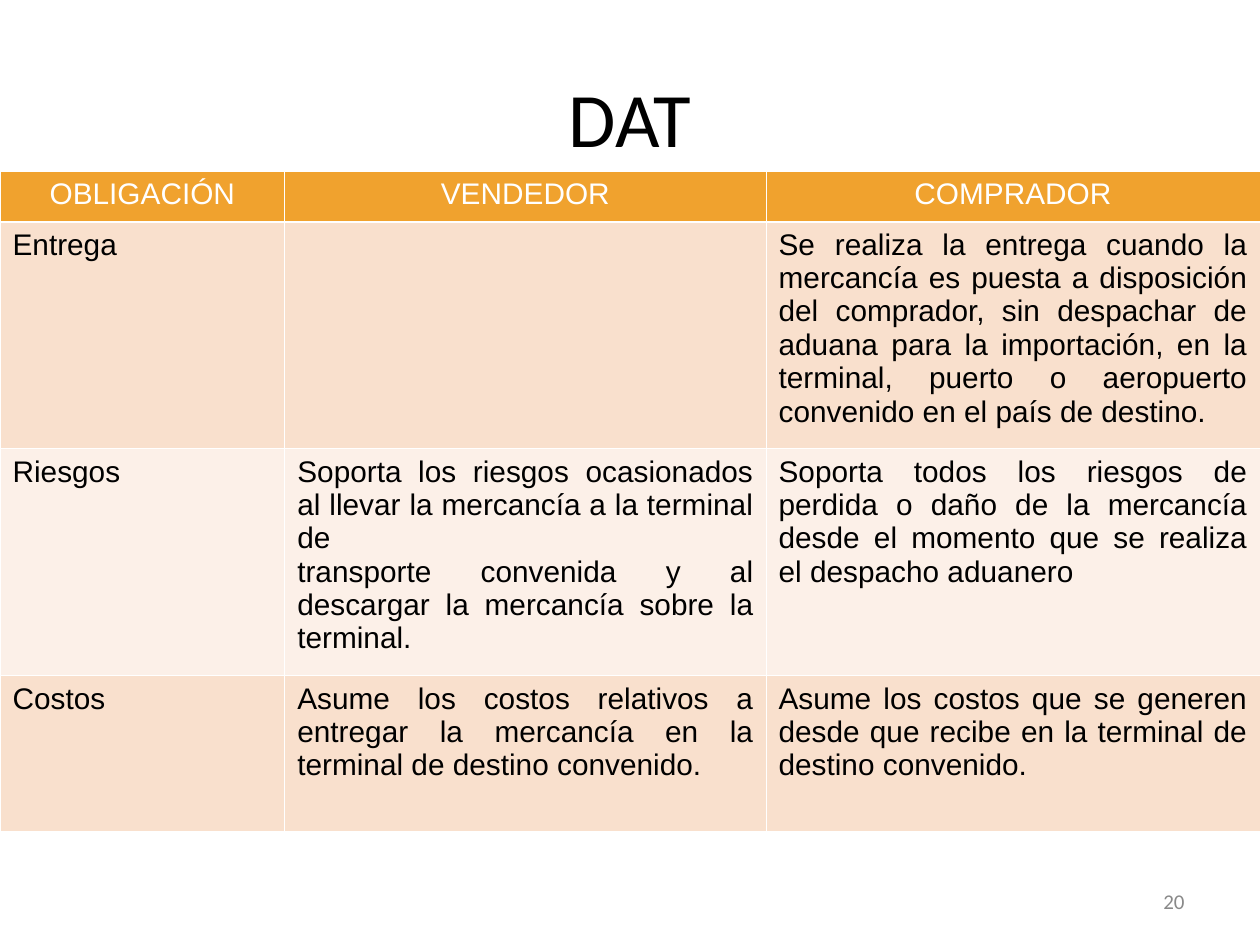
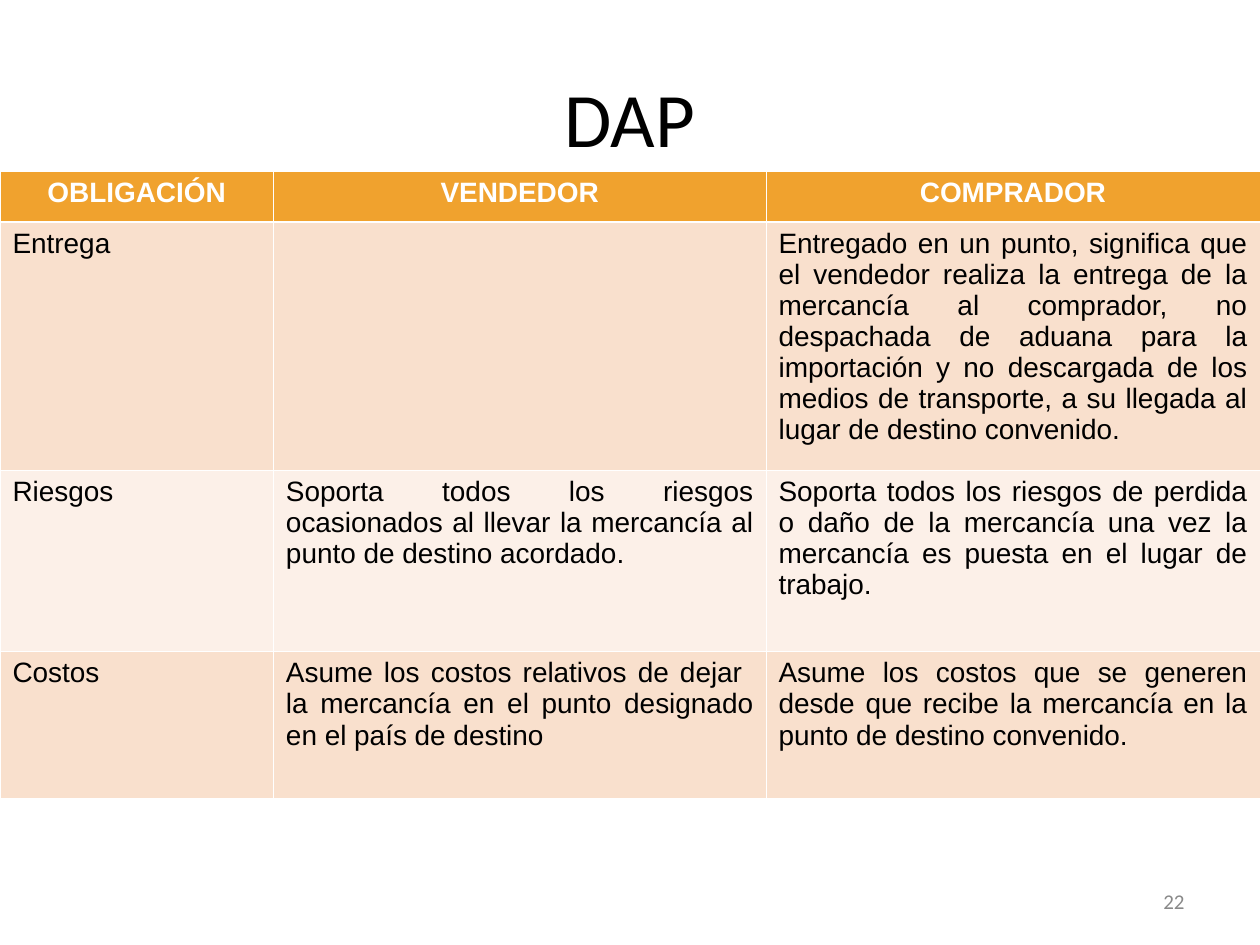
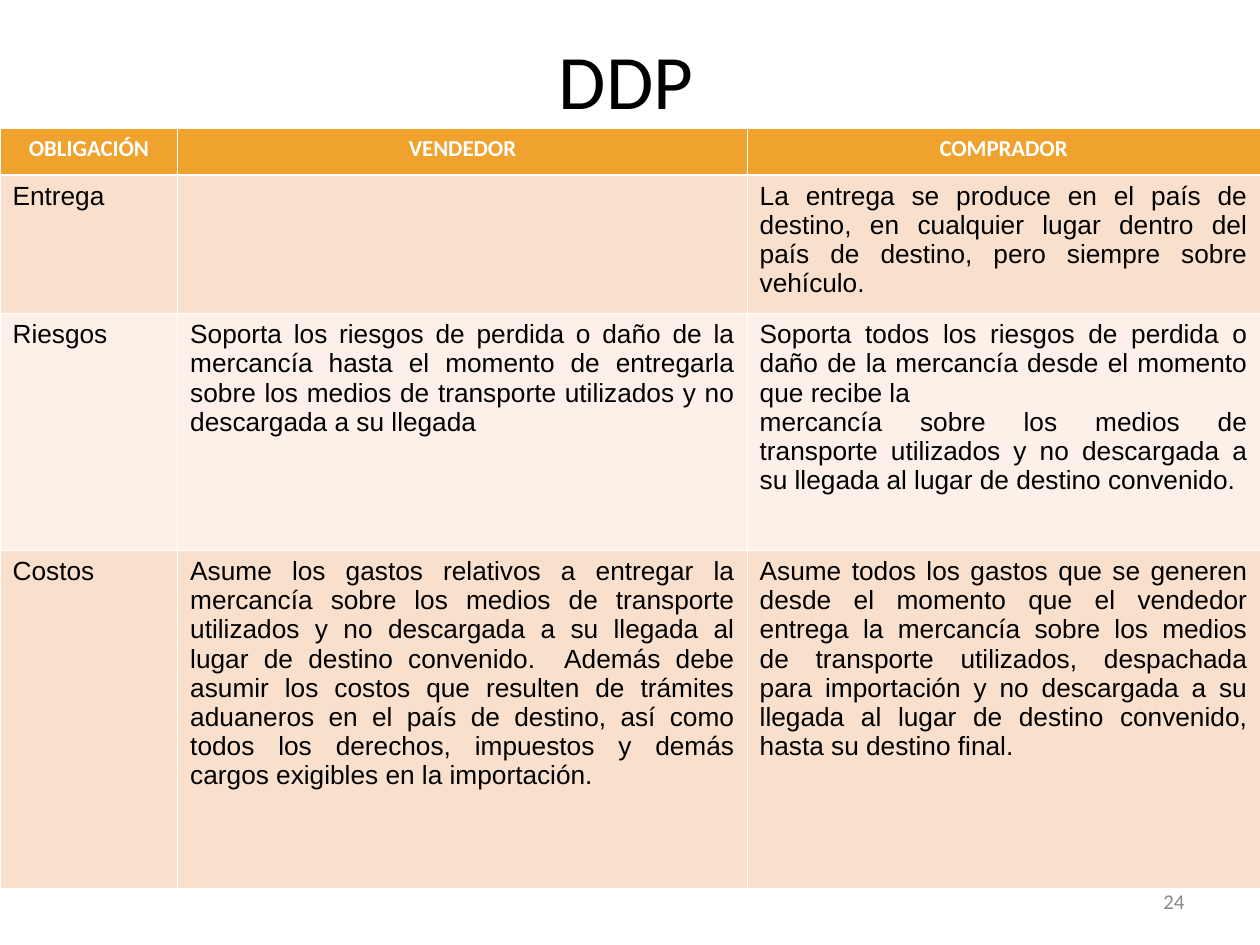
import pptx
import pptx.util
import pptx.dml.color
import pptx.enum.text
import pptx.oxml
import lxml.etree
from pptx.util import Inches

RGBColor = pptx.dml.color.RGBColor
ALIGN = pptx.enum.text.PP_ALIGN
BLACK = RGBColor(0x00, 0x00, 0x00)
WHITE = RGBColor(0xFF, 0xFF, 0xFF)
GRAY = RGBColor(0x89, 0x89, 0x89)
ORANGE = RGBColor(0xF0, 0xA2, 0x2E)
PEACH = RGBColor(0xF9, 0xE0, 0xCD)
CREAM = RGBColor(0xFC, 0xF0, 0xE8)
ROW_FILLS = [ORANGE, PEACH, CREAM, PEACH]
HEADERS = ["OBLIGACIÓN", "VENDEDOR", "COMPRADOR"]
THIN, THICK = 0.45, 1.47

TERMS = [
    {
        "title": "DAT", "title_at": (0.5, 0.3), "number": "20", "top": 1.36,
        "columns": [2.26, 3.82, 3.92], "rows": [0.4, 1.8, 1.8, 1.24],
        "header_font": ("Arial", 17, False), "body_size": 17,
        "body": [
            ["Entrega", "",
             "Se realiza la entrega cuando la mercancía es puesta a disposición del comprador, "
             "sin despachar de aduana para la importación, en la terminal, puerto o aeropuerto "
             "convenido en el país de destino."],
            ["Riesgos",
             "Soporta los riesgos ocasionados al llevar la mercancía a la terminal de\n"
             "transporte convenida y al descargar la mercancía sobre la terminal.",
             "Soporta todos los riesgos de perdida o daño de la mercancía desde el momento "
             "que se realiza el despacho aduanero"],
            ["Costos",
             "Asume los costos relativos a entregar la mercancía en la terminal de destino convenido.",
             "Asume los costos que se generen desde que recibe en la terminal de destino convenido."],
        ],
    },
    {
        "title": "DAP", "title_at": (0.5, 0.3), "number": "22", "top": 1.36,
        "columns": [2.17, 3.91, 3.92], "rows": [0.4, 1.97, 1.44, 1.17],
        "header_font": ("Arial", 16, True), "body_size": 16,
        "body": [
            ["Entrega", "",
             "Entregado en un punto, significa que el vendedor realiza la entrega de la mercancía "
             "al comprador, no despachada de aduana para la importación y no descargada de los "
             "medios de transporte, a su llegada al lugar de destino convenido."],
            ["Riesgos",
             "Soporta todos los riesgos ocasionados al llevar la mercancía al punto de destino acordado. ",
             "Soporta todos los riesgos de perdida o daño de la mercancía una vez la mercancía "
             "es puesta en el lugar de trabajo."],
            ["Costos",
             "Asume los costos relativos de dejar  la mercancía en el punto designado en el país de destino",
             "Asume los costos que se generen desde que recibe la mercancía en la punto de destino convenido."],
        ],
    },
    {
        "title": "DDP", "title_at": (0.47, 0), "number": "24", "top": 1.02,
        "columns": [1.41, 4.52, 4.07], "rows": [0.37, 1.1, 1.88, 2.68],
        "header_font": ("Calibri", 13, True), "body_size": 15,
        "body": [
            ["Entrega", "",
             "La entrega se produce en el país de destino, en cualquier lugar dentro del país "
             "de destino, pero siempre sobre vehículo."],
            ["Riesgos",
             "Soporta los riesgos de perdida o daño de la mercancía hasta el momento de entregarla "
             "sobre los medios de transporte utilizados y no descargada a su llegada ",
             "Soporta todos los riesgos de perdida o daño de la mercancía desde el momento que recibe la\n"
             "mercancía sobre los medios de transporte utilizados y no descargada a su llegada "
             "al lugar de destino convenido."],
            ["Costos",
             "Asume los gastos relativos a entregar la mercancía sobre los medios de transporte "
             "utilizados y no descargada a su llegada al lugar de destino convenido.  Además debe "
             "asumir los costos que resulten de trámites aduaneros en el país de destino, así como "
             "todos los derechos, impuestos y demás cargos exigibles en la importación.",
             "Asume todos los gastos que se generen desde el momento que el vendedor entrega la "
             "mercancía sobre los medios de transporte utilizados, despachada para importación y "
             "no descargada a su llegada al lugar de destino convenido, hasta su destino final."],
        ],
    },
]


def write_text(text_frame, text, font_name, size, color, alignment, bold=False):
    text_frame.text = text
    text_frame.word_wrap = True
    for paragraph in text_frame.paragraphs:
        paragraph.alignment = alignment
        paragraph.font.size = pptx.util.Pt(size)
        for run in paragraph.runs:
            run.font.name = font_name
            run.font.size = pptx.util.Pt(size)
            run.font.bold = bold
            run.font.color.rgb = color


def set_borders(cell, top, bottom):
    properties = cell._tc.get_or_add_tcPr()
    widths = {"lnL": THIN, "lnR": THIN, "lnT": top, "lnB": bottom}
    for position, (tag, width) in enumerate(widths.items()):
        line = lxml.etree.Element(pptx.oxml.ns.qn("a:" + tag), w=str(pptx.util.Pt(width)))
        fill = lxml.etree.SubElement(line, pptx.oxml.ns.qn("a:solidFill"))
        lxml.etree.SubElement(fill, pptx.oxml.ns.qn("a:srgbClr"), val=str(WHITE))
        properties.insert(position, line)


presentation = pptx.Presentation()
presentation.slide_width = Inches(10)
presentation.slide_height = Inches(7.5)

for term in TERMS:
    slide = presentation.slides.add_slide(presentation.slide_layouts[6])

    left, top = term["title_at"]
    title = slide.shapes.add_textbox(Inches(left), Inches(top), Inches(9), Inches(1.25))
    title.text_frame.vertical_anchor = pptx.enum.text.MSO_ANCHOR.MIDDLE
    write_text(title.text_frame, term["title"], "Calibri", 44, BLACK, ALIGN.CENTER)

    table = slide.shapes.add_table(
        4, 3, Inches(0), Inches(term["top"]), Inches(10), Inches(sum(term["rows"]))
    ).table
    for column, width in zip(table.columns, term["columns"]):
        column.width = Inches(width)
    for row, height in zip(table.rows, term["rows"]):
        row.height = Inches(height)

    for row_index, texts in enumerate([HEADERS] + term["body"]):
        for column_index, text in enumerate(texts):
            cell = table.cell(row_index, column_index)
            cell.fill.solid()
            cell.fill.fore_color.rgb = ROW_FILLS[row_index]
            set_borders(cell, THICK if row_index == 1 else THIN, THICK if row_index == 0 else THIN)
            if row_index == 0:
                font_name, size, bold = term["header_font"]
                write_text(cell.text_frame, text, font_name, size, WHITE, ALIGN.CENTER, bold)
            else:
                alignment = ALIGN.LEFT if column_index == 0 else ALIGN.JUSTIFY
                write_text(cell.text_frame, text, "Arial", term["body_size"], BLACK, alignment)

    number = slide.shapes.add_textbox(Inches(7.17), Inches(6.95), Inches(2.33), Inches(0.4))
    number.text_frame.vertical_anchor = pptx.enum.text.MSO_ANCHOR.MIDDLE
    write_text(number.text_frame, term["number"], "Calibri", 12, GRAY, ALIGN.RIGHT)

presentation.save("out.pptx")
